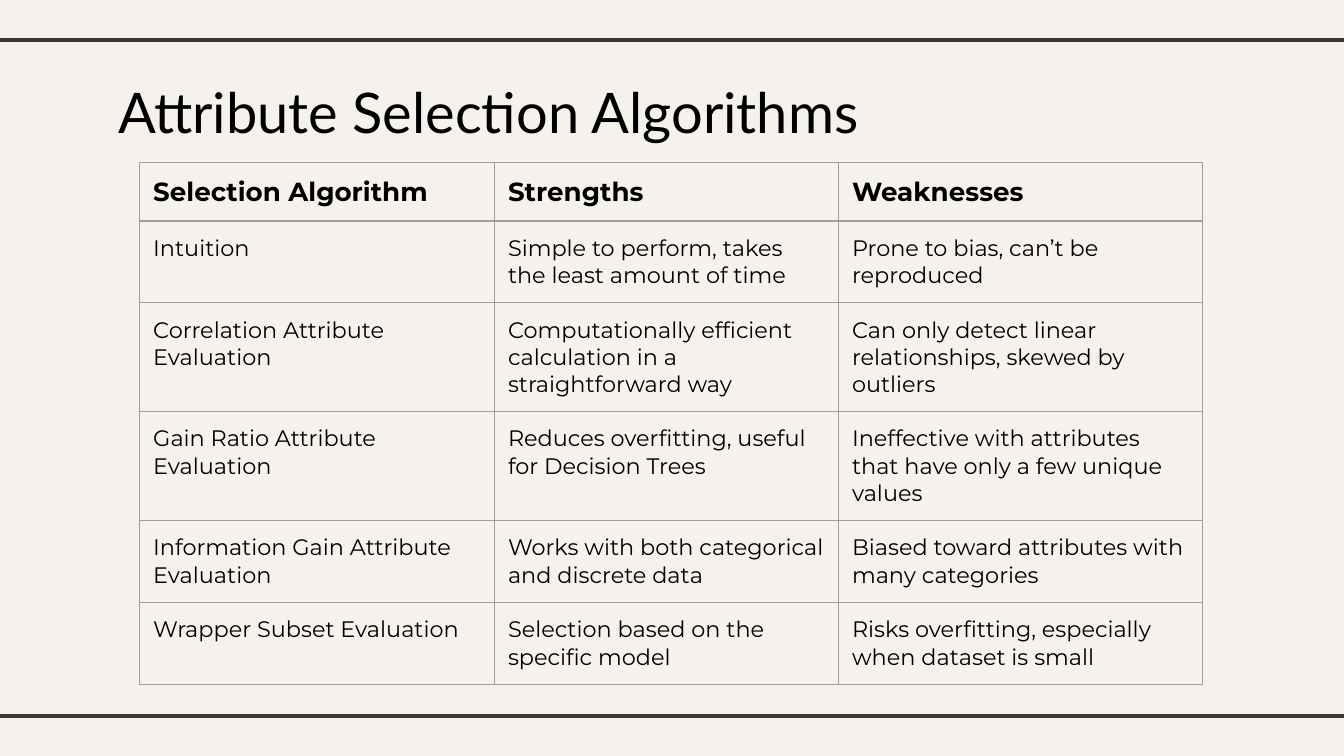
from lxml.etree import SubElement
from pptx import Presentation
from pptx.dml.color import RGBColor
from pptx.enum.shapes import MSO_CONNECTOR
from pptx.oxml.ns import qn
from pptx.util import Inches, Pt

PAPER = RGBColor(0xF5, 0xF2, 0xEE)
BROWN = RGBColor(0x3F, 0x35, 0x33)
GREY = RGBColor(0x9E, 0x9E, 0x9E)
BLACK = RGBColor(0, 0, 0)

WIDE, HIGH = 10, 10 * 9 / 16
COLS = [2.64, 2.56, 2.71]
HEIGHTS = [0.43, 0.61, 0.81, 0.81, 0.61, 0.61]
ROWS = [
    ("Selection Algorithm", "Strengths", "Weaknesses"),
    ("Intuition",
     "Simple to perform, takes the least amount of time",
     "Prone to bias, can’t be reproduced"),
    ("Correlation Attribute Evaluation",
     "Computationally efficient calculation in a straightforward way",
     "Can only detect linear relationships, skewed by outliers"),
    ("Gain Ratio Attribute Evaluation",
     "Reduces overfitting, useful for Decision Trees",
     "Ineffective with attributes that have only a few unique values"),
    ("Information Gain Attribute Evaluation",
     "Works with both categorical and discrete data",
     "Biased toward attributes with many categories"),
    ("Wrapper Subset Evaluation",
     "Selection based on the specific model",
     "Risks overfitting, especially when dataset is small"),
]


def set_font(para, name, size, bold=False):
    font = para.font
    font.name, font.size, font.bold = name, Pt(size), bold
    font.color.rgb = BLACK


def pad(box):
    """Give a cell or text frame equal margins on all sides."""
    box.margin_left = box.margin_right = Inches(0.1)
    box.margin_top = box.margin_bottom = Inches(0.1)


def add_rule(slide, y):
    rule = slide.shapes.add_connector(
        MSO_CONNECTOR.STRAIGHT, Inches(-0.08), Inches(y), Inches(10.08), Inches(y))
    rule.line.color.rgb = BROWN
    rule.line.width = Pt(2.25)
    SubElement(rule._element.spPr, qn("a:effectLst"))


def add_title(slide, text):
    box = slide.shapes.add_textbox(Inches(0.78), Inches(0.48), Inches(6.21), Inches(0.63))
    frame = box.text_frame
    frame.word_wrap = True
    pad(frame)
    frame.text = text
    set_font(frame.paragraphs[0], "Lato", 30)


def add_border(cell):
    props = cell._tc.get_or_add_tcPr()
    for side in ("lnL", "lnR", "lnT", "lnB"):
        line = SubElement(props, qn(f"a:{side}"), w=str(Pt(0.75)))
        fill = SubElement(line, qn("a:solidFill"))
        SubElement(fill, qn("a:srgbClr"), val=str(GREY))


def add_grid(slide):
    table = slide.shapes.add_table(
        len(ROWS), len(COLS), Inches(1.04), Inches(1.21),
        Inches(sum(COLS)), Inches(sum(HEIGHTS))).table
    table.horz_banding = False
    table.first_row = False
    for col, width in zip(table.columns, COLS):
        col.width = Inches(width)
    for row, height in zip(table.rows, HEIGHTS):
        row.height = Inches(height)
    for r, texts in enumerate(ROWS):
        head = r == 0
        for c, text in enumerate(texts):
            cell = table.cell(r, c)
            cell.text = text
            pad(cell)
            add_border(cell)
            cell.fill.background()
            set_font(cell.text_frame.paragraphs[0], "Montserrat", 14 if head else 12, head)


def main():
    deck = Presentation()
    deck.slide_width, deck.slide_height = Inches(WIDE), Inches(HIGH)
    slide = deck.slides.add_slide(deck.slide_layouts[6])
    back = slide.background.fill
    back.solid()
    back.fore_color.rgb = PAPER
    for y in (5.33, 0.3):
        add_rule(slide, y)
    add_title(slide, "Attribute Selection Algorithms")
    add_grid(slide)
    deck.save("out.pptx")


if __name__ == "__main__":
    main()
